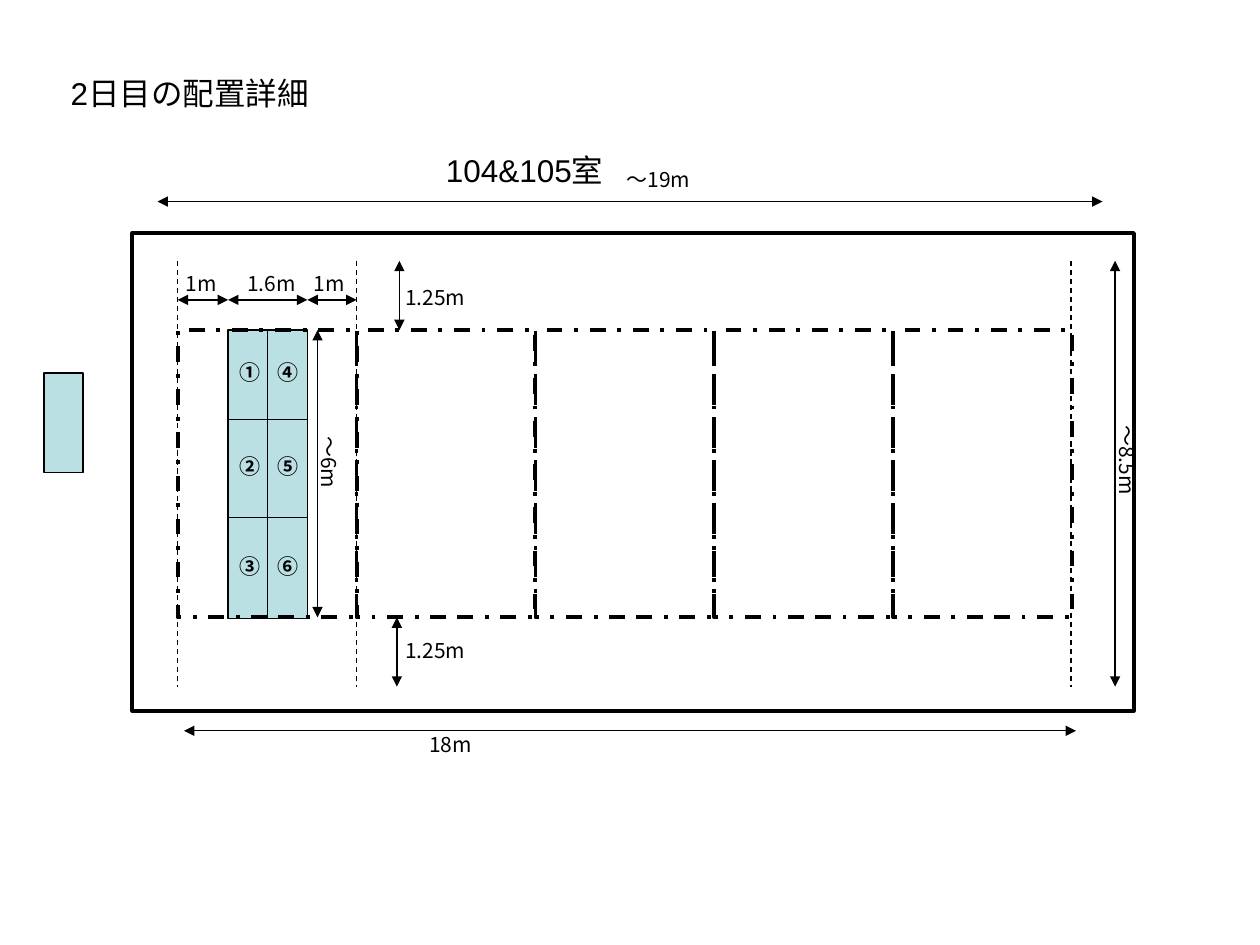
"""Build the room layout slide for day two."""
from lxml import etree
from pptx import Presentation
from pptx.dml.color import RGBColor
from pptx.enum.dml import MSO_LINE
from pptx.enum.shapes import MSO_CONNECTOR, MSO_SHAPE
from pptx.enum.text import MSO_ANCHOR, PP_ALIGN
from pptx.oxml.ns import qn
from pptx.util import Inches, Pt

STRAIGHT = MSO_CONNECTOR.STRAIGHT
RECTANGLE = MSO_SHAPE.RECTANGLE
DASH, DASH_DOT = MSO_LINE.DASH, MSO_LINE.DASH_DOT
CENTER, LEFT, TOP = PP_ALIGN.CENTER, PP_ALIGN.LEFT, MSO_ANCHOR.TOP
COLORS = {"ink": "000000", "table": "BBE0E3"}
INK = RGBColor.from_string(COLORS["ink"])
CJK = "Noto Sans CJK JP"

deck = Presentation()
deck.slide_width, deck.slide_height = Inches(10), Inches(7.5)
page = deck.slides.add_slide(deck.slide_layouts[5])


def write(box, text, size=12, font=CJK, bold=False, align=CENTER, inset=(0, 0)):
    frame = box.text_frame
    side, edge = map(Inches, inset)
    layout = {"word_wrap": False, "vertical_anchor": TOP, "margin_left": side,
              "margin_right": side, "margin_top": edge, "margin_bottom": edge}
    for name, value in layout.items():
        setattr(frame, name, value)
    para = frame.paragraphs[0]
    para.alignment = align
    span = para.add_run()
    span.text = text
    for name, value in {"size": Pt(size), "name": font, "bold": bold}.items():
        setattr(span.font, name, value)
    span.font.color.rgb = INK
    east_asian = etree.SubElement(span.font._element, qn("a:ea"))
    east_asian.set("typeface", CJK)


def draw_line(x1, y1, x2, y2, arrows=False, dash=None):
    line = page.shapes.add_connector(STRAIGHT, *map(Inches, (x1, y1, x2, y2)))
    line.line.color.rgb = INK
    line.line.width = Pt(0.75)
    line.line.dash_style = dash
    if arrows:
        for end in ("a:headEnd", "a:tailEnd"):
            etree.SubElement(line.line._ln, qn(end)).set("type", "triangle")
    etree.SubElement(line._element.spPr, qn("a:effectLst"))
    return line


heading = {"size": 18, "font": "Arial", "align": LEFT, "inset": (0.1, 0.05)}
title = page.shapes.title
title.left, title.top, title.width, title.height = map(Inches, (0.46, 0.54, 2.15, 0.4))
write(title, "2日目の配置詳細", **heading)
room_name = page.shapes.add_textbox(*map(Inches, (3.44, 1.15, 1.51, 0.4)))
write(room_name, "104&105室", **heading)

bay_left, bay_top, bay_width, bay_height = 1.41, 2.62, 1.42, 2.28
bays = [(bay_left + i * bay_width, bay_top, bay_width, bay_height, None, 2.25, DASH_DOT)
        for i in range(5)]
rectangles = [
    (1.05, 1.85, 7.95, 3.79, None, 2.25, None),
    (0.35, 2.96, 0.31, 0.79, "table", 0.75, None),
    (1.81, 2.62, 0.63, 2.29, "table", 0.75, None),
    *bays,
]
drawn = []
for left, top, width, height, fill, weight, dash in rectangles:
    box = page.shapes.add_shape(RECTANGLE, *map(Inches, (left, top, width, height)))
    box.shadow.inherit = False
    if fill:
        box.fill.solid()
        box.fill.fore_color.rgb = RGBColor.from_string(COLORS[fill])
    else:
        box.fill.background()
    box.line.color.rgb = INK
    box.line.width = Pt(weight)
    box.line.dash_style = dash
    drawn.append(box)

tables = drawn[2]
divider = draw_line(2.12, 2.62, 2.12, 4.9)
divider.begin_connect(tables, 0)
divider.end_connect(tables, 2)
for y in (3.33, 4.11):
    draw_line(1.81, y, 2.44, y)
for x in (1.41, 2.83, 8.5):
    draw_line(x, 2.07, x, 5.45, dash=DASH)

dimensions = [
    (1.25, 1.6, 8.75, 1.6), (1.46, 5.8, 8.54, 5.8), (8.85, 2.07, 8.85, 5.45),
    (3.17, 2.07, 3.17, 2.62), (3.15, 4.9, 3.15, 5.45), (2.52, 2.62, 2.52, 4.9),
    (1.41, 2.38, 1.81, 2.38), (1.81, 2.38, 2.44, 2.38), (2.44, 2.38, 2.83, 2.38),
]
for ends in dimensions:
    draw_line(*ends, arrows=True)

labels = [
    ("～19m", 4.95, 1.32, 0.55, 0, False),
    ("～8.5m", 8.65, 3.55, 0.6, 90, False),
    ("～6m", 2.39, 3.57, 0.46, 90, False),
    ("1.25m", 3.21, 2.26, 0.49, 0, False),
    ("1.25m", 3.21, 5.06, 0.49, 0, False),
    ("1m", 1.47, 2.15, 0.25, 0, False),
    ("1.6m", 1.96, 2.15, 0.39, 0, False),
    ("1m", 2.49, 2.15, 0.25, 0, False),
    ("18m", 3.4, 5.81, 0.35, 0, False),
]
for column, numbers in zip((1.9, 2.2), ("①②③", "④⑤⑥")):
    for number, row in zip(numbers, (2.85, 3.6, 4.39)):
        labels.append((number, column, row, 0.14, 0, True))
for text, left, top, width, rotation, bold in labels:
    box = page.shapes.add_textbox(*map(Inches, (left, top, width, 0.2)))
    box.rotation = rotation
    write(box, text, bold=bold)

deck.save("out.pptx")
